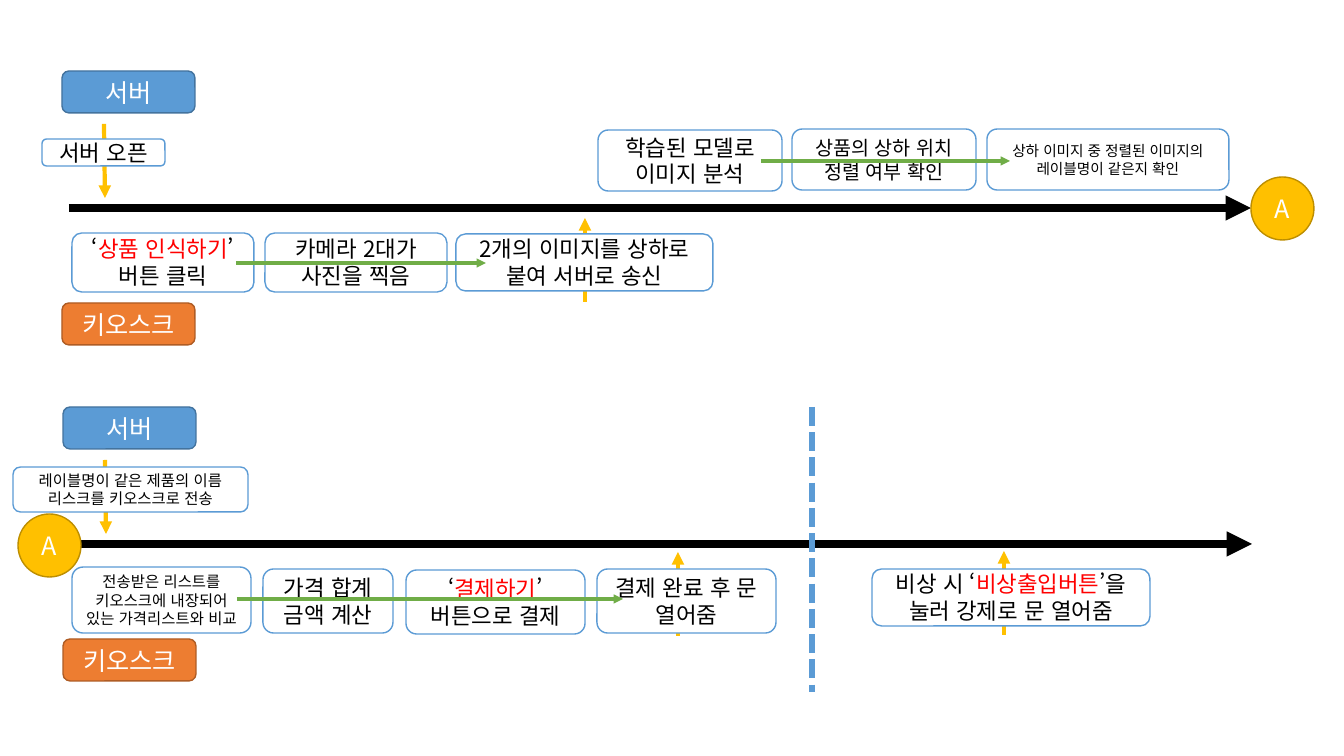
from dataclasses import dataclass
from lxml.etree import SubElement
from pptx import Presentation
from pptx.dml.color import RGBColor
from pptx.enum.dml import MSO_LINE
from pptx.enum.lang import MSO_LANGUAGE_ID
from pptx.enum.shapes import MSO_CONNECTOR, MSO_SHAPE
from pptx.enum.text import MSO_ANCHOR, PP_ALIGN
from pptx.oxml.ns import qn
from pptx.util import Emu, Pt


@dataclass(frozen=True)
class Theme:
    font: str = "Noto Sans CJK KR"
    black: str = "000000"
    white: str = "FFFFFF"
    red: str = "FF0000"
    blue: str = "5B9BD5"
    blue_edge: str = "43739E"
    orange: str = "ED7D31"
    orange_edge: str = "AF5C24"
    yellow: str = "FFC000"
    yellow_edge: str = "BD8E00"
    green: str = "70AD47"
    heading: float = 18
    body: float = 16
    compact: float = 14
    small: float = 11
    smallest: float = 10.5


theme = Theme()
SCALE = 914400 / 100.8

deck = Presentation()
deck.slide_width, deck.slide_height = Emu(round(1344 * SCALE)), Emu(round(756 * SCALE))
page = deck.slides.add_slide(deck.slide_layouts[6])


def add_box(kind, bounds, text, size, fill, edge, color):
    """Add a shape with centred text; words between asterisks are red."""
    box = page.shapes.add_shape(kind, *(Emu(round(value * SCALE)) for value in bounds))
    box.shadow.inherit = False
    box.fill.solid()
    box.fill.fore_color.rgb = RGBColor.from_string(fill)
    box.line.color.rgb = RGBColor.from_string(edge)
    box.line.width = Pt(1)
    frame = box.text_frame
    frame.word_wrap = True
    frame.vertical_anchor = MSO_ANCHOR.MIDDLE
    frame.text = text.replace("*", "")
    for para, line in zip(frame.paragraphs, text.split("\n")):
        para.alignment = PP_ALIGN.CENTER
        para.clear()
        for index, words in enumerate(line.split("*")):
            span = para.add_run()
            span.text = words
            span.font.size = Pt(size)
            span.font.name = theme.font
            span.font.language_id = MSO_LANGUAGE_ID.KOREAN
            span.font.color.rgb = RGBColor.from_string(theme.red if index % 2 else color)
            SubElement(span.font._element, qn("a:ea"), typeface=theme.font)


def add_line(ends, color, width, arrow=True):
    """Add a straight line, with an arrowhead at its end unless told otherwise."""
    line = page.shapes.add_connector(
        MSO_CONNECTOR.STRAIGHT, *(Emu(round(value * SCALE)) for value in ends))
    line.line.color.rgb = RGBColor.from_string(color)
    line.line.width = Pt(width)
    if arrow:
        SubElement(line.line._get_or_add_ln(), qn("a:tailEnd"), type="triangle")
    SubElement(line._element.spPr, qn("a:effectLst"))
    return line


# Two timelines, each with a server above and a kiosk below
for left, top in ((62, 71), (63, 407)):
    add_line((left + 7, top + 137, left + 1189, top + 137), theme.black, 6)
    add_line((left + 42, top + 53, left + 43, top + 127), theme.yellow, 3)
    for drop, name, fill, edge in ((0, "서버", theme.blue, theme.blue_edge),
                                   (232, "키오스크", theme.orange, theme.orange_edge)):
        add_box(MSO_SHAPE.ROUNDED_RECTANGLE, (left, top + drop, 133, 42), name,
                theme.heading, fill, edge, theme.white)

# Arrows from the kiosk steps up to the timeline
for x, bottom, top in ((585, 302, 218), (678, 636, 552), (1004, 635, 551)):
    add_line((x, bottom, x, top), theme.yellow, 3)

steps = (
    ((42, 139, 123, 27), "서버 오픈", theme.body),
    ((72, 233, 182, 59), "‘*상품 인식하기*’ 버튼 클릭", theme.body),
    ((265, 233, 182, 59), "카메라 2대가 사진을 찍음", theme.body),
    ((456, 234, 257, 57), "2개의 이미지를 상하로 붙여 서버로 송신", theme.body),
    ((598, 130, 184, 61), "학습된 모델로 이미지 분석", theme.body),
    ((792, 129, 184, 61), "상품의 상하 위치 정렬 여부 확인", theme.compact),
    ((987, 129, 242, 61), "상하 이미지 중 정렬된 이미지의 레이블명이 같은지 확인", theme.smallest),
    ((13, 467, 235, 45), "레이블명이 같은 제품의 이름 리스크를 키오스크로 전송", theme.small),
    ((72, 567, 179, 66), "전송받은 리스트를 키오스크에 내장되어 있는 가격리스트와 비교", theme.small),
    ((263, 569, 130, 64), "가격 합계\n금액 계산", theme.body),
    ((406, 570, 179, 64), "‘*결제하기*’\n버튼으로 결제", theme.body),
    ((597, 569, 179, 64), "결제 완료 후 문 열어줌", theme.body),
    ((872, 569, 278, 57), "비상 시 ‘*비상출입버튼*’을 눌러 강제로 문 열어줌", theme.body),
)
for bounds, text, size in steps:
    add_box(MSO_SHAPE.ROUNDED_RECTANGLE, bounds, text, size,
            theme.white, theme.blue, theme.black)

# Marker A joins the end of the first timeline to the start of the second
for left, top in ((1251, 177), (18, 514)):
    add_box(MSO_SHAPE.OVAL, (left, top, 63, 63), "A", theme.heading,
            theme.yellow, theme.yellow_edge, theme.white)

# Arrows along each sequence of steps
for start, end, y in ((236, 486, 263), (761, 1010, 161), (237, 623, 599)):
    add_line((start, y, end, y), theme.green, 2.25)

divider = add_line((812, 407, 812, 692), theme.blue, 4.5, arrow=False)
divider.line.dash_style = MSO_LINE.SQUARE_DOT
divider.line._get_or_add_ln().find(qn("a:prstDash")).set("val", "sysDash")

deck.save("out.pptx")
